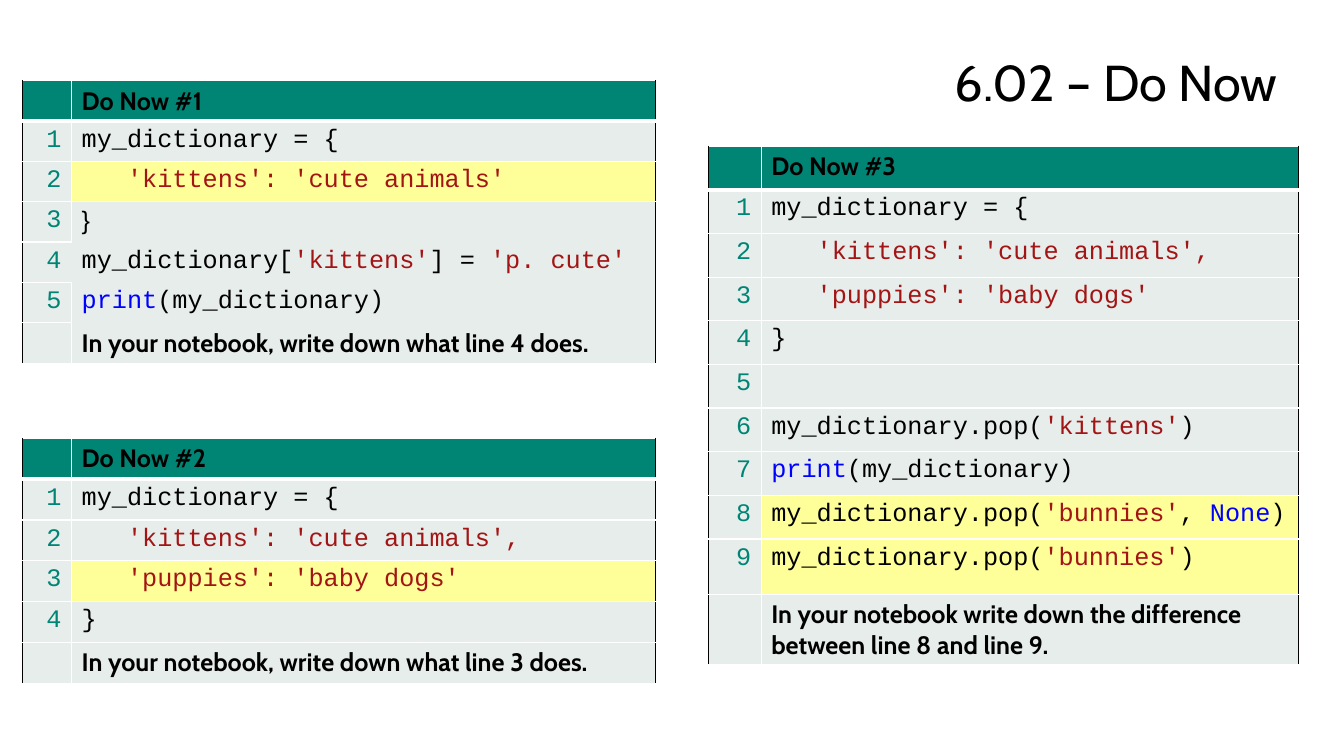
from dataclasses import dataclass

from lxml.etree import SubElement
from pptx import Presentation
from pptx.dml.color import RGBColor
from pptx.enum.text import MSO_ANCHOR as Anchor, MSO_AUTO_SIZE as AutoSize, PP_ALIGN as Align
from pptx.oxml.ns import qn
from pptx.util import Emu, Pt

PX = 9144
INDENT = 45
CODE_FONT = "Courier New"
TEXT_FONT = "Cabin"
COLOURS = {
    "black": "000000",
    "white": "FFFFFF",
    "green": "008575",
    "grey": "E6EDEB",
    "yellow": "FFFF99",
    "red": "A31515",
    "blue": "0000FF",
}


@dataclass(frozen=True)
class Span:
    text: str
    colour: str = "black"
    font: str = CODE_FONT
    bold: bool = False


@dataclass(frozen=True)
class Line:
    spans: tuple[Span, ...] = ()
    indented: bool = False
    fill: str = "grey"
    edges: str = "LRTB"


@dataclass(frozen=True)
class Listing:
    heading: str
    lines: tuple[Line, ...]
    prompt: Line
    left: int
    top: int
    widths: tuple[int, int]
    height: int
    last_heights: tuple[int, ...] = ()


def px(length: float) -> Emu:
    return Emu(round(length * PX))


def rgb(colour: str) -> RGBColor:
    return RGBColor.from_string(COLOURS[colour])


def note(text: str, edges: str = "LRTB") -> Line:
    return Line((Span(text, font=TEXT_FONT, bold=True),), edges=edges)


def entry(text: str, fill: str = "grey") -> Line:
    return Line((Span(text, "red"),), indented=True, fill=fill)


def pop(key: str, *rest: Span, fill: str = "grey") -> Line:
    return Line((Span("my_dictionary.pop("), Span(key, "red"), *rest, Span(")")), fill=fill)


def show(edges: str = "LRTB") -> Line:
    return Line((Span("print", "blue"), Span("(my_dictionary)")), edges=edges)


OPENING = Line((Span("my_dictionary = {"),))
CLOSING = Line((Span("}"),))
KITTENS = "'kittens': 'cute animals'"
PUPPIES = "'puppies': 'baby dogs'"

LISTINGS = (
    Listing(
        "Do Now #1",
        (
            OPENING,
            entry(KITTENS, "yellow"),
            Line((Span("}", font="Arial"),), edges="LRT"),
            Line(
                (
                    Span("my_dictionary["),
                    Span("'kittens'", "red"),
                    Span("] ="),
                    Span(" 'p. cute'", "red"),
                ),
                edges="R",
            ),
            show("LR"),
        ),
        note("In your notebook, write down what line 4 does.", "LR"),
        left=22, top=80, widths=(49, 579), height=280,
    ),
    Listing(
        "Do Now #2",
        (OPENING, entry(KITTENS + ","), entry(PUPPIES, "yellow"), CLOSING),
        note("In your notebook, write down what line 3 does."),
        left=22, top=435, widths=(49, 579), height=243,
    ),
    Listing(
        "Do Now #3",
        (
            OPENING,
            entry(KITTENS + ","),
            entry(PUPPIES),
            CLOSING,
            Line(),
            pop("'kittens'"),
            show(),
            pop("'bunnies'", Span(", "), Span("None", "blue"), fill="yellow"),
            pop("'bunnies'", fill="yellow"),
        ),
        note("In your notebook write down the difference between line 8 and line 9."),
        left=703, top=145, widths=(52, 533), height=515, last_heights=(55, 70),
    ),
)


def add_span(para, span: Span, size: int) -> None:
    run = para.add_run()
    run.text = span.text
    run.font.name = span.font
    run.font.size = Pt(size)
    run.font.bold = span.bold
    run.font.color.rgb = rgb(span.colour)


def set_borders(cell, edges: str, outer: str, widths: dict[str, int]) -> None:
    properties = cell._tc.get_or_add_tcPr()
    for side in "LRTB":
        border = SubElement(properties, qn(f"a:ln{side}"), w=str(Pt(widths.get(side, 1))))
        if side in edges:
            paint = SubElement(border, qn("a:solidFill"))
            colour = COLOURS["black" if side == outer else "white"]
            SubElement(paint, qn("a:srgbClr"), val=colour)
        else:
            SubElement(border, qn("a:noFill"))


def fill_cell(cell, line: Line, outer: str, widths: dict[str, int]) -> None:
    set_borders(cell, line.edges, outer, widths)
    cell.fill.solid()
    cell.fill.fore_color.rgb = rgb(line.fill)
    para = cell.text_frame.paragraphs[0]
    if outer == "L":
        para.alignment = Align.RIGHT
    if line.indented:
        para._p.get_or_add_pPr().set("marL", str(px(INDENT)))
    for span in line.spans:
        add_span(para, span, 18)


def add_listing(page, listing: Listing) -> None:
    heading = Line(note(listing.heading).spans, fill="green")
    rows = (heading, *listing.lines, listing.prompt)
    even_count = len(rows) - len(listing.last_heights)
    even_height = (listing.height - sum(listing.last_heights)) / even_count
    heights = (even_height,) * even_count + listing.last_heights

    table = page.shapes.add_table(
        len(rows), 2, px(listing.left), px(listing.top),
        px(sum(listing.widths)), px(listing.height),
    ).table
    table.first_row = False
    table.horz_banding = False
    for column, width in zip(table.columns, listing.widths):
        column.width = px(width)

    for index, (line, height) in enumerate(zip(rows, heights)):
        table.rows[index].height = px(height)
        widths = {0: {"B": 3}, 1: {"T": 3}}.get(index, {})
        numbered = 0 < index <= len(listing.lines)
        number = Line(
            (Span(str(index), "green"),) if numbered else (),
            fill="green" if index == 0 else "grey",
            edges="LRTB" if "L" in line.edges else "LTB",
        )
        fill_cell(table.cell(index, 0), number, "L", widths)
        fill_cell(table.cell(index, 1), line, "R", widths)


def add_title(page, text: str) -> None:
    title = page.shapes.title
    title.left, title.top, title.width, title.height = map(px, (64, 50, 1203, 61))
    frame = title.text_frame
    frame.margin_left = frame.margin_top = frame.margin_right = frame.margin_bottom = 0
    frame.word_wrap = True
    frame.auto_size = AutoSize.SHAPE_TO_FIT_TEXT
    frame.vertical_anchor = Anchor.MIDDLE
    para = frame.paragraphs[0]
    para.alignment = Align.RIGHT
    add_span(para, Span(text, font=TEXT_FONT), 36)


def main() -> None:
    deck = Presentation()
    deck.slide_width, deck.slide_height = px(1333), px(750)
    page = deck.slides.add_slide(deck.slide_layouts[5])
    add_title(page, "6.02 – Do Now")
    for listing in LISTINGS:
        add_listing(page, listing)
    deck.save("out.pptx")


if __name__ == "__main__":
    main()
